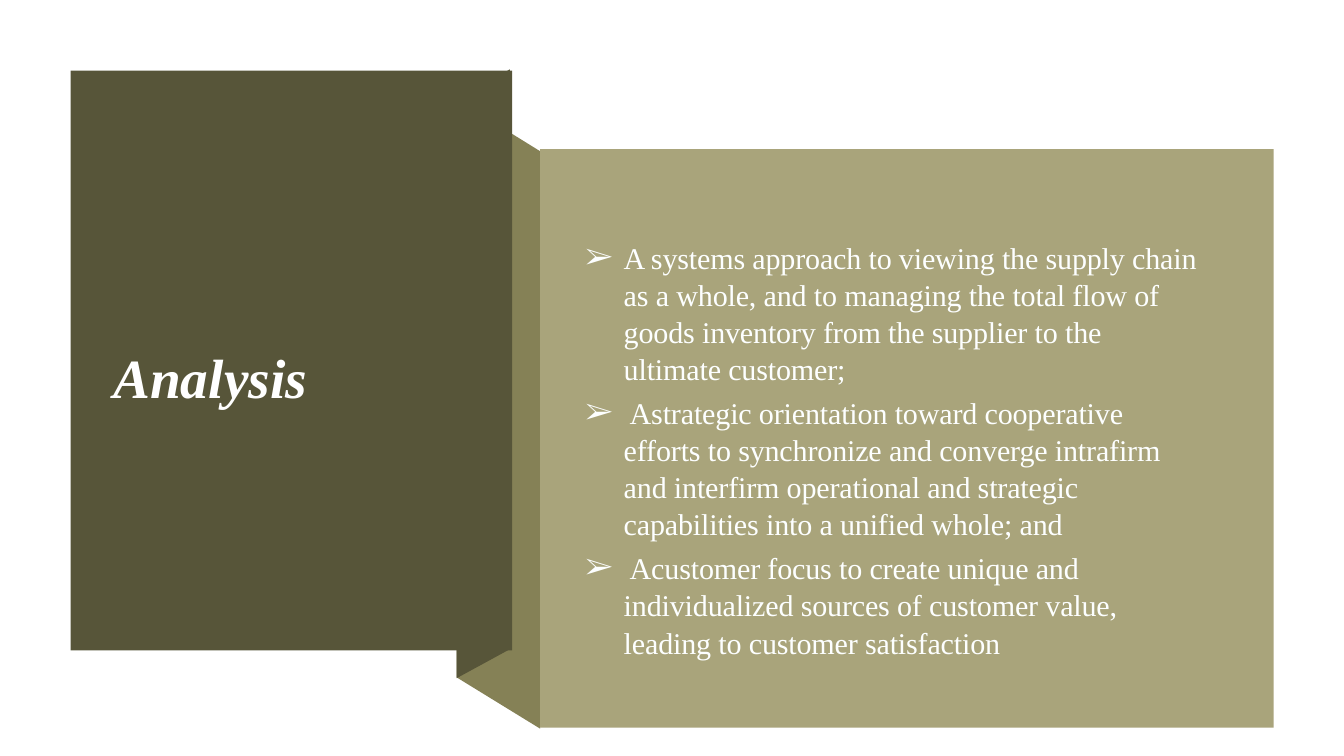
from dataclasses import dataclass

from lxml.etree import SubElement
from pptx import Presentation
from pptx.dml.color import RGBColor
from pptx.enum.shapes import MSO_SHAPE
from pptx.enum.text import MSO_ANCHOR, MSO_AUTO_SIZE, PP_ALIGN
from pptx.oxml.ns import qn
from pptx.util import Cm, Pt

COLOURS = {
    "dark": "575539",
    "fold": "858156",
    "panel": "A9A47B",
    "title": "FFFFFF",
    "body": "FDFFFF",
}
FONT = "Times New Roman"
TEXT_INDENT = Cm(0.99)
BULLET_HANG = Cm(0.97)
TAB_STOP = Cm(1.14)


@dataclass
class Ribbon:
    """A slanted part of the folded band; points are in centimetres."""
    points: list[tuple[float, float]]
    colour: str


@dataclass
class Bullet:
    text: str
    marker_size: float
    space_before: float
    line_spacing: float


RIBBONS = [
    Ribbon([(11.51, 2.51), (11.51, 17.07), (13.61, 18.36), (13.61, 3.81)], "fold"),
    Ribbon([(12.85, 1.75), (11.51, 2.46), (11.51, 17.09), (12.85, 16.36)], "dark"),
]

BULLETS = [
    Bullet("A systems approach to viewing the supply chain\v"
           "as a whole, and to managing the total flow of\v"
           "goods inventory from the supplier to the\v"
           "ultimate customer;", 21.5, 0.8, 1.02),
    Bullet("\tAstrategic orientation toward cooperative\v"
           "efforts to synchronize and converge intrafirm\v"
           "and interfirm operational and strategic\v"
           "capabilities into a unified whole; and", 18, 5, 1.03),
    Bullet("\tAcustomer focus to create unique and\v"
           "individualized sources of customer value,\v"
           "leading to customer satisfaction", 18, 4.8, 1.03),
]


def rgb(name: str) -> RGBColor:
    return RGBColor.from_string(COLOURS[name])


def paint(shape, colour: str) -> None:
    shape.fill.solid()
    shape.fill.fore_color.rgb = rgb(colour)
    shape.line.fill.background()
    shape.shadow.inherit = False


def draw_ribbon(slide, ribbon: Ribbon) -> None:
    corners = [(Cm(x), Cm(y)) for x, y in ribbon.points]
    builder = slide.shapes.build_freeform(*corners[0])
    builder.add_line_segments(corners[1:], close=True)
    paint(builder.convert_to_shape(), ribbon.colour)


def format_run(run, size: float, colour: str, spacing: int) -> None:
    run.font.name = FONT
    run.font.size = Pt(size)
    run.font.color.rgb = rgb(colour)
    run.font._element.set("spc", str(spacing))


def clear_margins(text_frame) -> None:
    text_frame.margin_left = text_frame.margin_right = 0
    text_frame.margin_top = text_frame.margin_bottom = 0
    text_frame.word_wrap = True
    text_frame.auto_size = MSO_AUTO_SIZE.NONE


def add_marker(paragraph, bullet: Bullet) -> None:
    properties = paragraph._p.get_or_add_pPr()
    properties.set("marL", str(TEXT_INDENT))
    properties.set("indent", str(-BULLET_HANG))
    colour = SubElement(properties, qn("a:buClr"))
    SubElement(colour, qn("a:srgbClr"), val=COLOURS["body"])
    SubElement(properties, qn("a:buSzPts"), val=str(int(bullet.marker_size * 100)))
    SubElement(properties, qn("a:buFont"), typeface=FONT)
    SubElement(properties, qn("a:buChar"), char="➢")
    tabs = SubElement(properties, qn("a:tabLst"))
    SubElement(tabs, qn("a:tab"), pos=str(TAB_STOP), algn="l")


def write_bullet(paragraph, bullet: Bullet) -> None:
    paragraph.text = bullet.text
    paragraph.alignment = PP_ALIGN.LEFT
    paragraph.line_spacing = bullet.line_spacing
    paragraph.space_before = Pt(bullet.space_before)
    add_marker(paragraph, bullet)
    for run in paragraph.runs:
        format_run(run, 21.5, "body", -10)


def place_title(slide) -> None:
    title = slide.shapes.title
    title.left, title.top = Cm(1.78), Cm(1.78)
    title.width, title.height = Cm(11.13), Cm(14.61)
    title.fill.solid()
    title.fill.fore_color.rgb = rgb("dark")
    text_frame = title.text_frame
    text_frame.text = "Analysis"
    clear_margins(text_frame)
    text_frame.margin_left, text_frame.margin_top = Cm(1.07), Cm(6.86)
    text_frame.vertical_anchor = MSO_ANCHOR.TOP
    paragraph = text_frame.paragraphs[0]
    paragraph.alignment = PP_ALIGN.LEFT
    paragraph.line_spacing = 1.0
    paragraph.space_before = Pt(0)
    run = paragraph.runs[0]
    format_run(run, 39.5, "title", 10)
    run.font.bold = run.font.italic = True
    # Bring the title block in front of the ribbon
    title.element.getparent().append(title.element)


def main() -> None:
    presentation = Presentation()
    presentation.slide_width, presentation.slide_height = Cm(33.87), Cm(19.05)
    slide = presentation.slides.add_slide(presentation.slide_layouts[5])

    # Folded ribbon, with the title block over it
    for ribbon in RIBBONS:
        draw_ribbon(slide, ribbon)
    place_title(slide)

    # Text panel
    panel = slide.shapes.add_shape(
        MSO_SHAPE.RECTANGLE, Cm(13.61), Cm(3.76), Cm(18.49), Cm(14.58))
    paint(panel, "panel")

    # Bulleted points
    body = slide.shapes.add_textbox(Cm(14.73), Cm(6.02), Cm(15.9), Cm(10.69))
    text_frame = body.text_frame
    clear_margins(text_frame)
    for index, bullet in enumerate(BULLETS):
        paragraph = text_frame.add_paragraph() if index else text_frame.paragraphs[0]
        write_bullet(paragraph, bullet)

    presentation.save("out.pptx")


if __name__ == "__main__":
    main()
